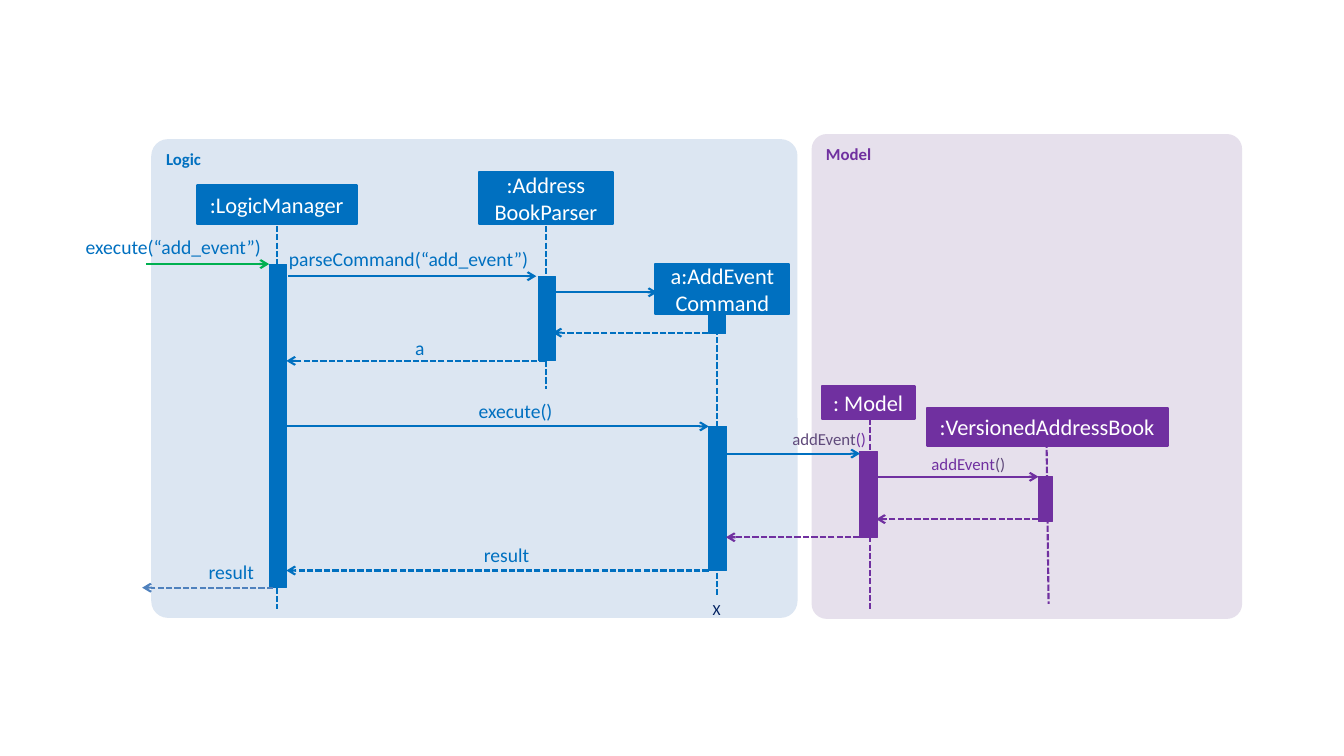
"""Build a sequence diagram of adding an event, from Logic to Model."""
from lxml.etree import SubElement
from pptx import Presentation
from pptx.dml.color import RGBColor
from pptx.enum.dml import MSO_LINE
from pptx.enum.shapes import MSO_CONNECTOR, MSO_SHAPE
from pptx.enum.text import MSO_ANCHOR, MSO_AUTO_SIZE, PP_ALIGN
from pptx.oxml.ns import qn
from pptx.util import Pt

PX = 9144
COLORS = {
    "blue": "0070C0", "purple": "7030A0", "plum": "604A7B",
    "green": "00B050", "steel": "4F81BD", "navy": "002060",
    "white": "FFFFFF", "sky": "DCE6F2", "lilac": "E6E0EC",
}


def px(*nums):
    return [num * PX for num in nums]


def color(name):
    return RGBColor.from_string(COLORS[name])


def add_run(para, text, size, hue, bold=False):
    run = para.add_run()
    run.text = text
    run.font.name = "Calibri"
    run.font.size = Pt(size)
    run.font.bold = bold
    run.font.color.rgb = color(hue)


def add_box(slide, kind, box, fill, edge=None):
    shape = slide.shapes.add_shape(kind, *px(*box))
    shape.shadow.inherit = False
    shape.fill.solid()
    shape.fill.fore_color.rgb = color(fill)
    if edge:
        shape.line.color.rgb = color(fill)
        shape.line.width = Pt(edge)
    else:
        shape.line.fill.background()
    return shape


def add_panel(slide, box, name, fill, hue):
    shape = add_box(slide, MSO_SHAPE.ROUNDED_RECTANGLE, box, fill)
    shape.adjustments[0] = 0.035
    frame = shape.text_frame
    frame.vertical_anchor = MSO_ANCHOR.TOP
    frame.paragraphs[0].alignment = PP_ALIGN.LEFT
    add_run(frame.paragraphs[0], name, 12, hue, True)


def add_head(slide, box, lines, fill):
    frame = add_box(slide, MSO_SHAPE.RECTANGLE, box, fill, 1.5).text_frame
    frame.vertical_anchor = MSO_ANCHOR.MIDDLE
    para = frame.paragraphs[0]
    para.alignment = PP_ALIGN.CENTER
    for i, line in enumerate(lines):
        if i:
            para.add_line_break()
        add_run(para, line, 16, "white")


def add_line(slide, ends, hue, dash=False, arrow=False):
    line = slide.shapes.add_connector(MSO_CONNECTOR.STRAIGHT, *px(*ends))
    line.line.color.rgb = color(hue)
    line.line.width = Pt(1.5)
    if dash:
        line.line.dash_style = MSO_LINE.SQUARE_DOT
    if arrow:
        SubElement(line.line._get_or_add_ln(), qn("a:tailEnd"), type="arrow")
    SubElement(line._element.spPr, qn("a:effectLst"))


def add_label(slide, box, size, runs, align=PP_ALIGN.RIGHT, pad=(0, 0)):
    frame = slide.shapes.add_textbox(*px(*box)).text_frame
    frame.word_wrap = True
    frame.auto_size = MSO_AUTO_SIZE.SHAPE_TO_FIT_TEXT
    frame.margin_left, frame.margin_top = px(*pad)
    frame.margin_right, frame.margin_bottom = px(*pad)
    para = frame.paragraphs[0]
    para.alignment = align
    for text, hue in runs:
        add_run(para, text, size, hue)


def main():
    deck = Presentation()
    deck.slide_width, deck.slide_height = px(1333, 750)
    slide = deck.slides.add_slide(deck.slide_layouts[6])

    add_panel(slide, (805, 133, 427, 481), "Model", "lilac", "purple")
    add_panel(slide, (150, 138, 641, 475), "Logic", "sky", "blue")

    for ends, hue in [
        ((275, 224, 275, 604), "blue"),
        ((542, 224, 542, 386), "blue"),
        ((711, 301, 711, 590), "blue"),
        ((863, 415, 863, 604), "purple"),
        ((1038, 438, 1040, 599), "purple"),
    ]:
        add_line(slide, ends, hue, dash=True)

    for box, hue in [
        ((267, 262, 17, 321), "blue"),
        ((534, 274, 17, 84), "blue"),
        ((703, 301, 17, 30), "blue"),
        ((703, 423, 18, 143), "blue"),
        ((852, 448, 18, 85), "purple"),
        ((1030, 473, 14, 44), "purple"),
    ]:
        add_box(slide, MSO_SHAPE.RECTANGLE, box, hue, 0.75)

    for start, end, y, hue in [
        (145, 267, 262, "green"),
        (286, 532, 274, "blue"),
        (551, 652, 290, "blue"),
        (284, 703, 423, "blue"),
        (721, 853, 450, "blue"),
        (869, 1030, 473, "purple"),
        (711, 548, 330, "blue"),
        (541, 284, 358, "blue"),
        (1030, 869, 515, "purple"),
        (861, 720, 533, "purple"),
        (703, 284, 566, "blue"),
        (271, 141, 583, "steel"),
    ]:
        add_line(slide, (start, y, end, y), hue, dash=end < start, arrow=True)

    for box, lines, fill in [
        ((195, 184, 159, 38), [":LogicManager"], "blue"),
        ((475, 171, 133, 51), [":Address", "BookParser"], "blue"),
        ((650, 262, 133, 50), ["a:AddEvent", "Command"], "blue"),
        ((815, 383, 92, 33), [": Model"], "purple"),
        ((919, 405, 239, 37), [":VersionedAddressBook"], "purple"),
    ]:
        add_head(slide, box, lines, fill)

    for box, text in [
        ((49, 233, 210, 23), "execute(“add_event”)"),
        ((276, 245, 248, 24), "parseCommand(“add_event”)"),
        ((397, 333, 24, 24), "a"),
        ((454, 396, 94, 24), "execute()"),
        ((457, 539, 68, 24), "result"),
        ((169, 556, 83, 24), "result"),
    ]:
        add_label(slide, box, 14, [(text, "blue")])
    for box, name, mark in [
        ((776, 425, 83, 20), "plum", "purple"),
        ((916, 450, 81, 20), "purple", "plum"),
    ]:
        add_label(slide, box, 12, [("addEvent", name), ("()", mark)])
    add_label(slide, (697, 590, 28, 29), 11, [("X", "navy")],
              PP_ALIGN.LEFT, (10, 5))

    deck.save("out.pptx")


if __name__ == "__main__":
    main()
